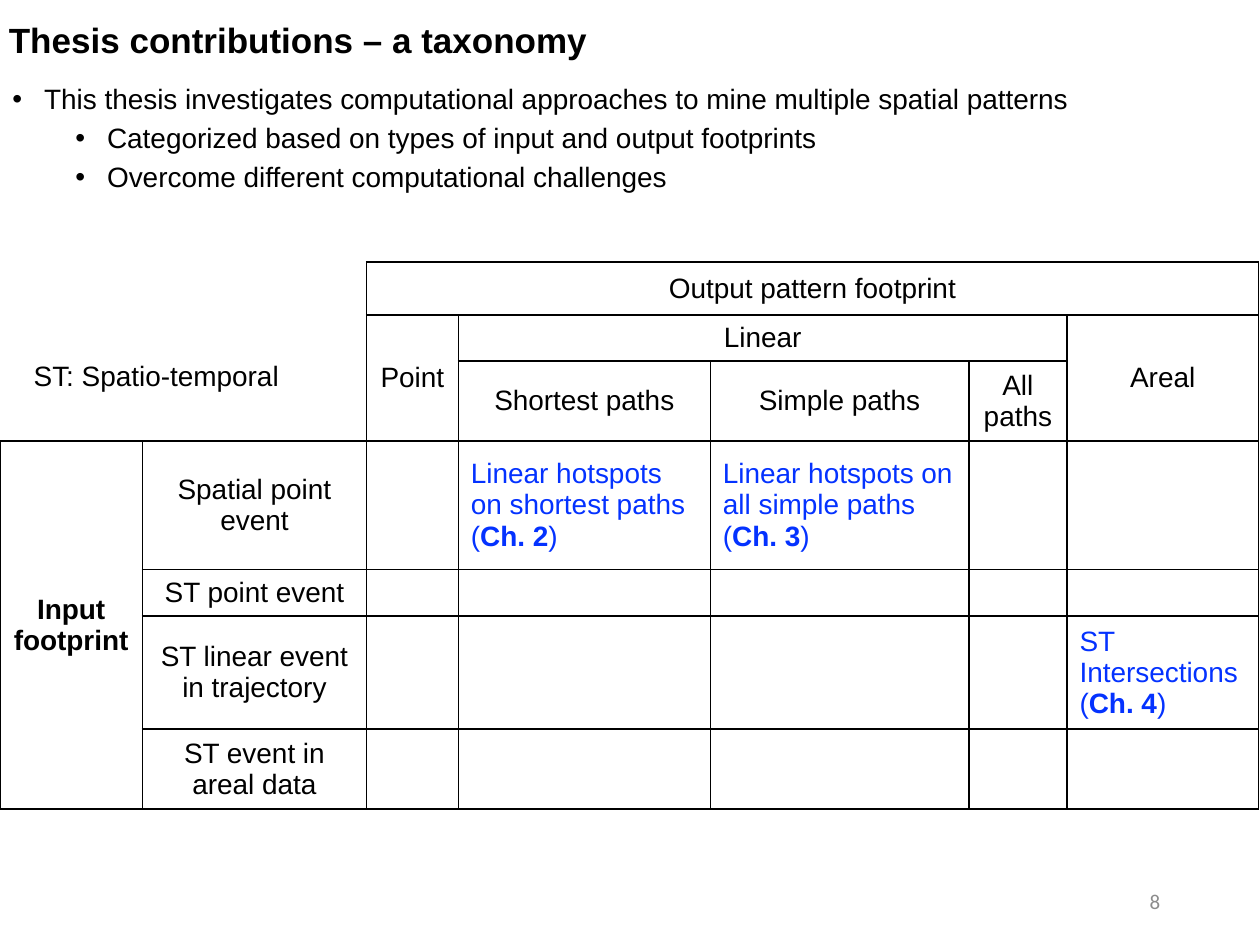
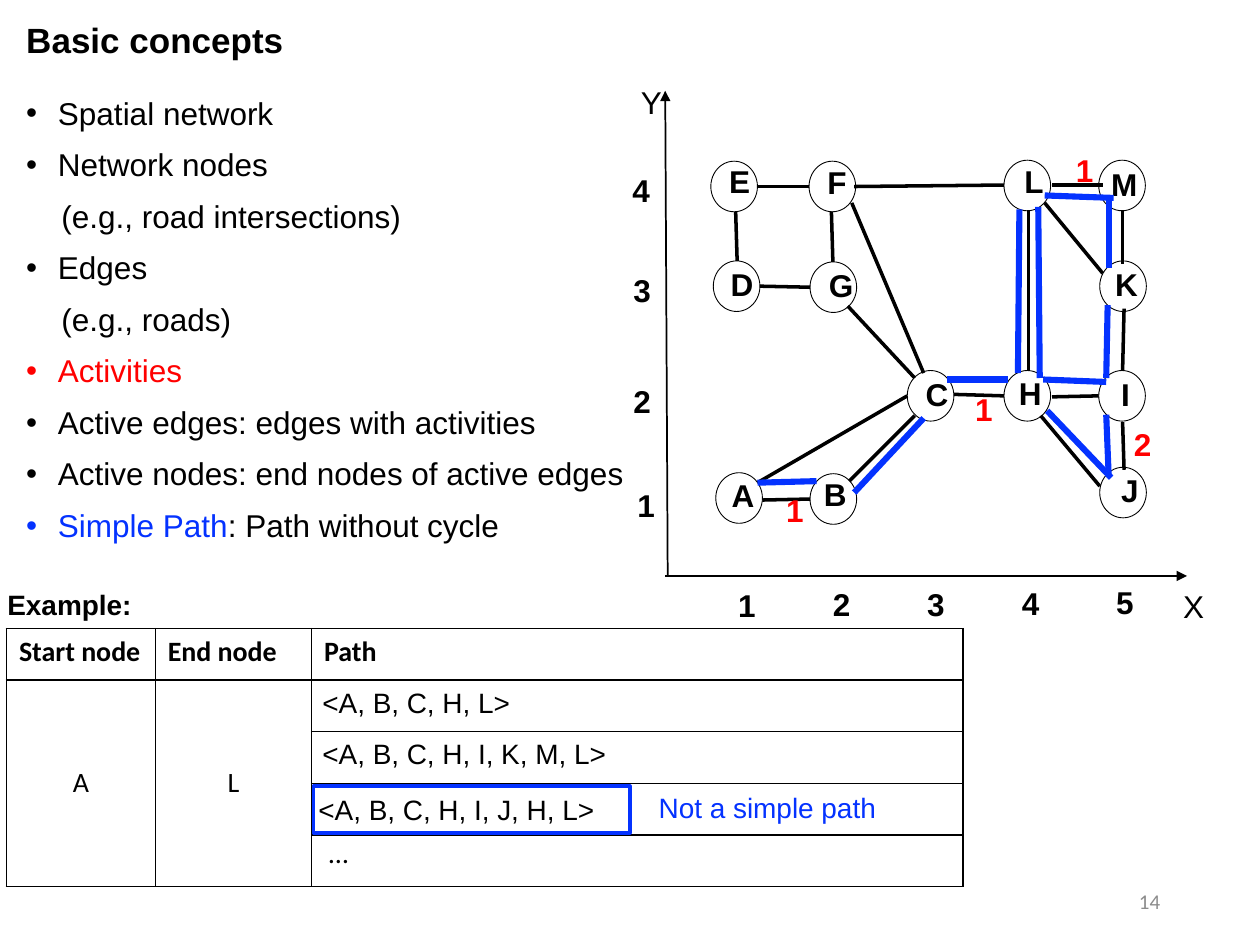
from dataclasses import dataclass, replace
from typing import NamedTuple, Optional, Union

from lxml.etree import SubElement
from pptx import Presentation
from pptx.dml.color import RGBColor
from pptx.enum.shapes import MSO_CONNECTOR as Link, MSO_SHAPE as Preset
from pptx.enum.text import MSO_ANCHOR as Anchor, MSO_AUTO_SIZE as Fit, PP_ALIGN as Align
from pptx.oxml.ns import qn
from pptx.util import Cm, Pt

COLORS = {"ink": "000000", "blue": "0432FF", "red": "FF0000", "gray": "8C8C8C"}


class Run(NamedTuple):
    text: str
    color: Optional[str] = None
    bold: Optional[bool] = None


Line = Union[str, tuple[Run, ...]]


class Box(NamedTuple):
    """Left, top, width and height in inches."""
    x: float
    y: float
    w: float
    h: float


@dataclass(frozen=True)
class Style:
    size: float = 16
    color: str = "ink"
    bold: bool = False
    font: str = "Arial"
    align: Align = Align.LEFT


@dataclass(frozen=True)
class Bullet:
    line: Line
    color: str = "ink"
    level: int = 0
    marked: bool = True


@dataclass(frozen=True)
class Node:
    """Circle corner, then label corner and label width."""
    name: str
    x: float
    y: float
    label_x: float
    label_y: float
    label_w: float = 0.38


class Edge(NamedTuple):
    x1: float
    y1: float
    x2: float
    y2: float


BODY = Style()
CENTERED = Style(align=Align.CENTER)
TITLE = Style(size=20, bold=True)
GRAPH = Style(size=18, bold=True)
FOOTER = Style(size=12, color="gray", font="Calibri", align=Align.RIGHT)


def length(inches: float) -> Cm:
    return Cm(round(inches * 2.54, 2))


def rgb(name: str) -> RGBColor:
    return RGBColor.from_string(COLORS[name])


def write_line(paragraph, line: Line, style: Style) -> None:
    for part in (Run(line),) if isinstance(line, str) else line:
        run = paragraph.add_run()
        run.text = part.text
        if part.color:
            run.font.color.rgb = rgb(part.color)
        if part.bold is not None:
            run.font.bold = part.bold
    paragraph.alignment = style.align
    font = paragraph.font
    font.name, font.size, font.bold = style.font, Pt(style.size), style.bold
    font.color.rgb = rgb(style.color)


def paragraph_at(frame, index: int):
    return frame.add_paragraph() if index else frame.paragraphs[0]


def add_text(slide, box: Box, line: Line, style: Style = BODY, anchor: Anchor = Anchor.TOP,
             wrap: bool = False, inset: Optional[tuple[float, float]] = None) -> None:
    frame = slide.shapes.add_textbox(*map(length, box)).text_frame
    frame.word_wrap = wrap
    frame.auto_size = Fit.NONE if wrap else Fit.SHAPE_TO_FIT_TEXT
    frame.vertical_anchor = anchor
    if inset:
        frame.margin_left = frame.margin_right = length(inset[0])
        frame.margin_top = frame.margin_bottom = length(inset[1])
    write_line(frame.paragraphs[0], line, style)


def add_bullets(slide, box: Box, bullets: list[Bullet], size: float) -> None:
    frame = slide.shapes.add_textbox(*map(length, box)).text_frame
    frame.word_wrap = True
    for index, bullet in enumerate(bullets):
        paragraph = paragraph_at(frame, index)
        paragraph.level = bullet.level
        paragraph.line_spacing = 0.9
        paragraph.space_before = Pt((5 if bullet.level else 10) if index else 0)
        props = paragraph._p.get_or_add_pPr()
        if bullet.marked:
            props.set("marL", str(length(0.25 + 0.5 * bullet.level)))
            props.set("indent", str(-length(0.25)))
            tint = SubElement(props, qn("a:buClr"))
            SubElement(tint, qn("a:srgbClr"), val=COLORS[bullet.color])
            SubElement(props, qn("a:buFont"), typeface="Arial")
            SubElement(props, qn("a:buChar"), char="•")
        else:
            props.set("marL", str(length(0.28)))
            props.set("indent", "0")
        write_line(paragraph, bullet.line, Style(size, bullet.color))


def add_line(slide, edge: Edge, color: str, width: float, arrow: bool = False) -> None:
    link = slide.shapes.add_connector(Link.STRAIGHT, *map(length, edge))
    link.line.color.rgb = rgb(color)
    link.line.width = Pt(width)
    if arrow:
        SubElement(link.line._get_or_add_ln(), qn("a:tailEnd"), type="triangle")
    SubElement(link._element.spPr, qn("a:effectLst"))


def add_outline(slide, preset: Preset, box: Box, color: str, width: float) -> None:
    shape = slide.shapes.add_shape(preset, *map(length, box))
    shape.shadow.inherit = False
    shape.fill.background()
    shape.line.color.rgb = rgb(color)
    shape.line.width = Pt(width)


def set_borders(cell, sides: str) -> None:
    """Draw the named sides (from "LRTB") in black and clear the others."""
    props = cell._tc.get_or_add_tcPr()
    for index, side in enumerate("LRTB"):
        border = SubElement(props, qn(f"a:ln{side}"), w=str(Pt(1)))
        if side in sides:
            fill = SubElement(border, qn("a:solidFill"))
            SubElement(fill, qn("a:srgbClr"), val=COLORS["ink"])
        else:
            SubElement(border, qn("a:noFill"))
        props.insert(index, border)


def add_grid(slide, x: float, y: float, columns: list[float], rows: list[float]):
    """Add a plain table with every border drawn."""
    table = slide.shapes.add_table(len(rows), len(columns), length(x), length(y),
                                   length(sum(columns)), length(sum(rows))).table
    table.first_row = table.horz_banding = False
    for column, width in zip(table.columns, columns):
        column.width = length(width)
    for row, height in zip(table.rows, rows):
        row.height = length(height)
    for cell in table.iter_cells():
        cell.fill.background()
        set_borders(cell, "LRTB")
        SubElement(cell.text_frame.paragraphs[0]._p, qn("a:endParaRPr"), sz="1600")
    return table


def fill_cell(table, row: int, column: int, lines: list[Line], style: Style = CENTERED,
              rows: int = 1, columns: int = 1, anchor: Anchor = Anchor.MIDDLE) -> None:
    cell = table.cell(row, column)
    if rows * columns > 1:
        cell.merge(table.cell(row + rows - 1, column + columns - 1))
    cell.vertical_anchor = anchor
    for index, line in enumerate(lines):
        write_line(paragraph_at(cell.text_frame, index), line, style)


def start_slide(deck, title: str, title_box: Box, inset: tuple[float, float], number: int):
    slide = deck.slides.add_slide(deck.slide_layouts[6])
    add_text(slide, title_box, title, TITLE, Anchor.MIDDLE, True, inset)
    add_text(slide, Box(7.06, 6.95, 2.25, 0.4), str(number), FOOTER, Anchor.MIDDLE, True)
    return slide


def build_taxonomy(deck) -> None:
    slide = start_slide(deck, "Thesis contributions – a taxonomy", Box(0, 0, 6.75, 0.63),
                        (0.07, 0.04), 8)
    add_bullets(slide, Box(0, 0.63, 10, 1.12), [
        Bullet("This thesis investigates computational approaches to mine multiple spatial patterns"),
        Bullet("Categorized based on types of input and output footprints", level=1),
        Bullet("Overcome different computational challenges", level=1)], 16)

    table = add_grid(slide, 0, 2.08, [1.13, 1.78, 0.73, 2, 2.05, 0.78, 1.52],
                     [0.42, 0.35, 0.25, 0.35, 1.02, 0.35, 0.85, 0.61])
    for row in range(4):
        bottom = "B" if row == 3 else ""
        set_borders_again = ((0, bottom), (1, "R" + bottom))
        for column, sides in set_borders_again:
            props = table.cell(row, column)._tc.tcPr
            for side in "LRTB":
                props.remove(props.find(qn(f"a:ln{side}")))
            set_borders(table.cell(row, column), sides)
    for column in (0, 1):
        table.cell(1, column).merge(table.cell(2, column))

    fill_cell(table, 0, 2, ["Output pattern footprint"], columns=5)
    fill_cell(table, 1, 3, ["Linear"], columns=3)
    for column, footprint in ((2, "Point"), (6, "Areal")):
        fill_cell(table, 1, column, [footprint], rows=3)
    for column, paths in enumerate(("Shortest paths", "Simple paths", "All paths"), 3):
        fill_cell(table, 2, column, [paths], rows=2)
    fill_cell(table, 4, 0, ["Input footprint"], replace(CENTERED, bold=True), rows=4)
    inputs = (["Spatial point event"], ["ST point event"], ["ST linear event in trajectory"],
              ["ST event in", "areal data"])
    for row, lines in enumerate(inputs, 4):
        fill_cell(table, row, 1, lines)
    chapters = ((4, 3, 2, ["Linear hotspots on shortest paths"]),
                (4, 4, 3, ["Linear hotspots on", "all simple paths"]),
                (6, 6, 4, ["ST Intersections"]))
    for row, column, chapter, topic in chapters:
        reference = (Run("("), Run(f"Ch. {chapter}", bold=True), Run(")"))
        fill_cell(table, row, column, [*topic, reference], Style(color="blue"))
    add_text(slide, Box(0.17, 2.8, 2.17, 0.37), "ST: Spatio-temporal")


NODES = [
    Node("A", 5.68, 3.75, 5.71, 3.73), Node("B", 6.43, 3.76, 6.44, 3.72),
    Node("C", 7.2, 2.94, 7.25, 2.93), Node("D", 5.66, 2.07, 5.7, 2.05),
    Node("E", 5.64, 1.28, 5.69, 1.24, 0.37), Node("F", 6.42, 1.28, 6.47, 1.25, 0.36),
    Node("G", 6.43, 2.08, 6.48, 2.06, 0.4), Node("H", 7.97, 2.94, 7.99, 2.92),
    Node("I", 8.72, 2.94, 8.8, 2.93, 0.27), Node("J", 8.73, 3.71, 8.8, 3.69, 0.34),
    Node("K", 8.73, 2.07, 8.75, 2.05), Node("L", 7.97, 1.27, 8.03, 1.24, 0.36),
    Node("M", 8.72, 1.27, 8.72, 1.26, 0.42)]
ROADS = [
    Edge(6.05, 3.97, 6.43, 3.96), Edge(6.01, 3.83, 7.2, 3.14), Edge(6.74, 3.82, 7.26, 3.3),
    Edge(6.03, 2.27, 6.43, 2.28), Edge(6.02, 1.48, 6.42, 1.48), Edge(6.6, 1.68, 6.61, 2.08),
    Edge(5.84, 1.68, 5.85, 2.07), Edge(8.91, 1.67, 8.91, 2.1), Edge(8.92, 2.45, 8.91, 2.94),
    Edge(8.91, 3.35, 8.92, 3.73), Edge(8.35, 3.15, 8.72, 3.14), Edge(7.57, 3.13, 7.97, 3.14),
    Edge(8.16, 1.67, 8.16, 2.94), Edge(6.73, 2.43, 7.26, 3), Edge(6.76, 1.61, 7.33, 2.96),
    Edge(8.35, 1.47, 8.75, 1.47), Edge(6.78, 1.48, 7.97, 1.47), Edge(8.29, 1.61, 8.75, 2.17),
    Edge(8.26, 3.3, 8.73, 3.86)]
PATH_STEPS = [
    Edge(6.01, 3.83, 6.48, 3.82), Edge(6.78, 3.91, 7.33, 3.32), Edge(7.52, 3.01, 8, 3.01),
    Edge(8.08, 2.96, 8.09, 1.66), Edge(8.28, 3.01, 8.78, 3.03), Edge(8.78, 3, 8.79, 2.42),
    Edge(8.8, 2.13, 8.8, 1.55), Edge(8.84, 1.57, 8.29, 1.55), Edge(8.8, 3.78, 8.78, 3.29),
    Edge(8.82, 3.79, 8.31, 3.26), Edge(8.25, 3, 8.24, 1.64)]
ACTIVITIES = [("1", 6.14, 3.94), ("1", 7.64, 3.14), ("2", 8.9, 3.42), ("1", 8.44, 1.25)]


def draw_network(slide) -> None:
    for axis in (Edge(5.28, 4.57, 9.42, 4.57), Edge(5.3, 4.57, 5.28, 0.72)):
        add_line(slide, axis, "ink", 1, arrow=True)
    for tick in range(5):
        add_text(slide, Box(5.76 + 0.75 * tick, 4.6 - 0.005 * tick, 0.34, 0.4), str(tick + 1), GRAPH)
    for tick, (x, y) in enumerate(((4.96, 3.81), (4.93, 2.98), (4.93, 2.1), (4.92, 1.31)), 1):
        add_text(slide, Box(x, y, 0.34, 0.4), str(tick), GRAPH)
    for axis_name, x, y in (("X", 9.29, 4.61), ("Y", 4.99, 0.61)):
        add_text(slide, Box(x, y, 0.37, 0.4), axis_name, Style(size=18))
    for node in NODES:
        add_outline(slide, Preset.OVAL, Box(node.x, node.y, 0.37, 0.4), "ink", 0.5)
        add_text(slide, Box(node.label_x, node.label_y, node.label_w, 0.4), node.name, GRAPH)
    for road in ROADS:
        add_line(slide, road, "ink", 2)
    for count, x, y in ACTIVITIES:
        add_text(slide, Box(x, y, 0.22, 0.21), count,
                 replace(GRAPH, color="red", align=Align.CENTER), Anchor.MIDDLE, True)
    for step in PATH_STEPS:
        add_line(slide, step, "blue", 3.5)


def build_concepts(deck) -> None:
    slide = start_slide(deck, "Basic concepts", Box(0.11, -0.11, 9, 0.85), (0.1, 0.05), 14)
    add_bullets(slide, Box(0.11, 0.73, 9, 5.21), [
        Bullet("Spatial network"),
        Bullet("Network nodes"),
        Bullet("(e.g., road intersections)", marked=False),
        Bullet("Edges"),
        Bullet("(e.g., roads)", marked=False),
        Bullet("Activities", "red"),
        Bullet("Active edges: edges with activities"),
        Bullet("Active nodes: end nodes of active edges"),
        Bullet((Run("Simple Path"), Run(": Path without cycle", "ink")), "blue")], 18)

    table = add_grid(slide, 0.05, 4.99, [1.18, 1.24, 5.17], [0.41] * 5)
    heading = Style(bold=True, font="Calibri")
    for column, name in enumerate(("Start node", "End node", "Path")):
        fill_cell(table, 0, column, [name], heading, anchor=Anchor.TOP)
    for column, end in enumerate("AL"):
        fill_cell(table, 1, column, [end], replace(CENTERED, font="Calibri"), rows=4)

    draw_network(slide)
    add_text(slide, Box(-0.04, 4.61, 1.2, 0.37), "Example:", Style(bold=True))
    add_text(slide, Box(2.46, 5.39, 1.71, 0.37), "<A, B, C, H, L>")
    add_text(slide, Box(2.46, 5.8, 2.49, 0.37), "<A, B, C, H, I, K, M, L>")
    add_text(slide, Box(2.43, 6.24, 2.69, 0.37), "<A, B, C, H, I, J, H, L>", wrap=True)
    add_outline(slide, Preset.RECTANGLE, Box(2.49, 6.24, 2.51, 0.37), "blue", 2)
    add_text(slide, Box(5.13, 6.23, 1.95, 0.37), "Not a simple path", Style(color="blue"))
    add_text(slide, Box(2.51, 6.58, 0.36, 0.37), "…", Style(font="Calibri"))


def main() -> None:
    deck = Presentation()
    deck.slide_width, deck.slide_height = length(10), length(7.5)
    build_taxonomy(deck)
    build_concepts(deck)
    deck.save("out.pptx")


if __name__ == "__main__":
    main()
